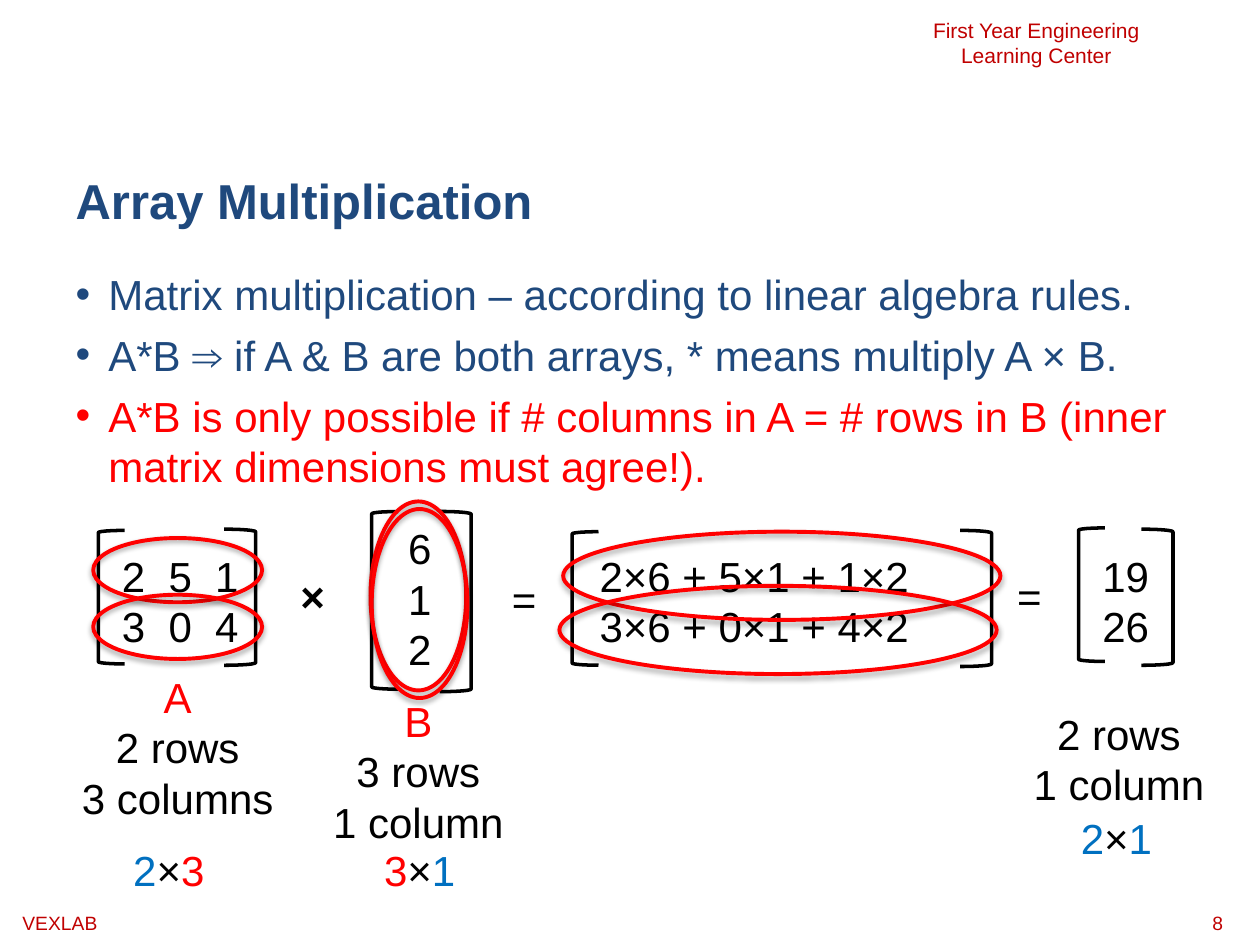
from dataclasses import dataclass

from lxml import etree
from pptx import Presentation
from pptx.dml.color import RGBColor
from pptx.enum.shapes import MSO_SHAPE
from pptx.enum.text import MSO_ANCHOR, MSO_AUTO_SIZE, PP_ALIGN
from pptx.oxml import parse_xml
from pptx.oxml.ns import nsdecls, qn
from pptx.util import Inches, Pt

LEFT, MID = PP_ALIGN.LEFT, PP_ALIGN.CENTER
TOP = MSO_ANCHOR.TOP
FIT, FIXED = MSO_AUTO_SIZE.SHAPE_TO_FIT_TEXT, MSO_AUTO_SIZE.NONE
BRACKET, OVAL = MSO_SHAPE.LEFT_BRACKET, MSO_SHAPE.OVAL


@dataclass(frozen=True)
class Theme:
    font: str = "Arial"
    black: str = "000000"
    red: str = "FF0000"
    blue: str = "0070C0"
    navy: str = "1F497D"
    dark: str = "C00000"
    title: int = 28
    body: int = 24
    head: int = 12
    foot: int = 11


T = Theme()


def place(shape, box):
    names = ("left", "top", "width", "height")
    for name, value in zip(names, box):
        setattr(shape, name, Inches(value))


def write(frame, paras, size=T.body, align=MID, bold=False):
    """Fill a frame; each paragraph is a list of (text, colour) runs."""
    for i, runs in enumerate(paras):
        para = frame.paragraphs[0] if i == 0 else frame.add_paragraph()
        para.alignment = align
        for text, color in runs:
            run = para.add_run()
            run.text = text
            look = {"name": T.font, "size": Pt(size), "bold": bold}
            for name, value in look.items():
                setattr(run.font, name, value)
            run.font.color.rgb = RGBColor.from_string(color)


def label(slide, box, paras, **look):
    frame = slide.shapes.add_textbox(*map(Inches, box)).text_frame
    frame.word_wrap = True
    frame.auto_size = FIT
    write(frame, paras, **look)
    return frame


def plain(*lines):
    return [[(line, T.black)] for line in lines]


def tabs(frame, stops, kind):
    for para in frame.paragraphs:
        props = para._p.get_or_add_pPr()
        tab_list = etree.SubElement(props, qn("a:tabLst"))
        for stop in stops:
            etree.SubElement(tab_list, qn("a:tab"), pos=str(Inches(stop)), algn=kind)


def outline(slide, kind, box, color, width):
    shape = slide.shapes.add_shape(kind, *map(Inches, box))
    shape.shadow.inherit = False
    shape.fill.background()
    shape.line.color.rgb = RGBColor.from_string(color)
    shape.line.width = Pt(width)
    return shape


def bracket(slide, box, flip):
    shape = outline(slide, BRACKET, box, T.black, 2)
    if flip:
        shape._element.spPr.find(qn("a:xfrm")).set("flipH", "1")


def ring(slide, box, turn=0):
    shape = outline(slide, OVAL, box, T.red, 2.25)
    shape.rotation = turn
    effects = shape._element.spPr.find(qn("a:effectLst"))
    effects.append(parse_xml(
        f'<a:outerShdw {nsdecls("a")} blurRad="{Pt(3.1)}" dist="{Pt(1.8)}" '
        f'dir="5400000" rotWithShape="0"><a:srgbClr val="{T.black}">'
        '<a:alpha val="35000"/></a:srgbClr></a:outerShdw>'))


def heading(slide):
    title = slide.shapes.title
    place(title, (0.5, 1.3, 9, 0.9))
    frame = title.text_frame
    frame.vertical_anchor = TOP
    frame.auto_size = FIXED
    write(frame, [[("Array Multiplication", T.navy)]], T.title, LEFT, True)


def bullets(slide):
    body = slide.placeholders[1]
    place(body, (0.5, 2.08, 9.67, 4.92))
    frame = body.text_frame
    frame.vertical_anchor = TOP
    frame.auto_size = FIXED
    write(frame, [
        [("Matrix multiplication – according to linear algebra rules.", T.navy)],
        [("A*B ⇒ if A & B are both arrays, * means multiply A × B.", T.navy)],
        [("A*B is only possible if # columns in A = # rows in B "
          "(inner matrix dimensions must agree!).", T.red)],
    ], align=LEFT)
    for para in frame.paragraphs:
        para.space_before = Pt(6)
        props = para._p.get_or_add_pPr()
        props.set("marL", str(Inches(0.26)))
        props.set("indent", str(Inches(-0.26)))
        etree.SubElement(props, qn("a:buChar"), char="•")


def main():
    deck = Presentation()
    deck.slide_width, deck.slide_height = Inches(10), Inches(7.5)
    slide = deck.slides.add_slide(deck.slide_layouts[1])

    # Header and footer
    foot = label(slide, (0.08, 7.18, 9.83, 0.29), [[("VEXLAB\t8", T.dark)]],
                 size=T.foot, align=LEFT)
    tabs(foot, [9.53], "r")
    label(slide, (7.17, 0.09, 2.11, 0.5),
          [[("First Year Engineering Learning Center", T.dark)]], size=T.head)

    heading(slide)
    bullets(slide)

    # Matrix brackets: left and right of each
    for box, flip in (
        ((0.78, 4.21, 0.21, 1.06), False), ((1.78, 4.2, 0.25, 1.08), True),
        ((2.95, 4.06, 0.21, 1.41), False), ((3.49, 4.06, 0.25, 1.43), True),
        ((4.54, 4.22, 0.21, 1.06), False), ((7.62, 4.21, 0.25, 1.08), True),
        ((8.56, 4.19, 0.21, 1.06), False), ((9.06, 4.2, 0.25, 1.08), True),
    ):
        bracket(slide, box, flip)

    # Matrix entries
    first = label(slide, (0.87, 4.32, 1.33, 0.91),
                  plain("2\t5\t1", "3\t0\t4"), align=LEFT)
    tabs(first, [0.37, 0.74], "l")
    for box, lines in (
        ((3.14, 4.1, 0.66, 1.31), ("6", "1", "2")),
        ((4.66, 4.32, 3.21, 0.91), ("2×6 + 5×1 + 1×2", "3×6 + 0×1 + 4×2")),
        ((8.65, 4.32, 0.68, 0.91), ("19", "26")),
    ):
        label(slide, box, plain(*lines), align=LEFT)

    # Operators
    for x, y, sign in ((1.97, 4.48, "×"), (3.65, 4.5, "="), (7.66, 4.48, "=")):
        label(slide, (x, y, 1.02, 0.5), plain(sign), bold=sign == "×")

    # Names and row and column counts
    for x, y, name, lines in (
        (0.45, 5.28, "A", ("2 rows", "3 columns")),
        (2.36, 5.47, "B", ("3 rows", "1 column")),
        (7.92, 5.57, "", ("2 rows", "1 column")),
    ):
        top = [[(name, T.red)]] if name else []
        paras = top + plain(*lines)
        label(slide, (x, y, 1.92, 1.31 if name else 0.91), paras)

    # Sizes, with the inner dimensions in red
    for x, y, rows, cols in (
        (0.83, 6.65, ("2", T.blue), ("3", T.red)),
        (2.82, 6.65, ("3", T.red), ("1", T.blue)),
        (8.35, 6.4, ("2", T.blue), ("1", T.blue)),
    ):
        label(slide, (x, y, 1.02, 0.5), [[rows, ("×", T.black), cols]])

    # Rings around the rows and columns that pair up
    for box, turn in (
        ((0.74, 4.27, 1.34, 0.51), 0), ((2.57, 4.35, 1.5, 0.76), 90),
        ((0.74, 4.72, 1.34, 0.51), 0), ((2.58, 4.41, 1.5, 0.76), 90),
        ((4.47, 4.22, 3.47, 0.7), 0), ((4.44, 4.65, 3.47, 0.7), 0),
    ):
        ring(slide, box, turn)

    deck.save("out.pptx")


if __name__ == "__main__":
    main()
